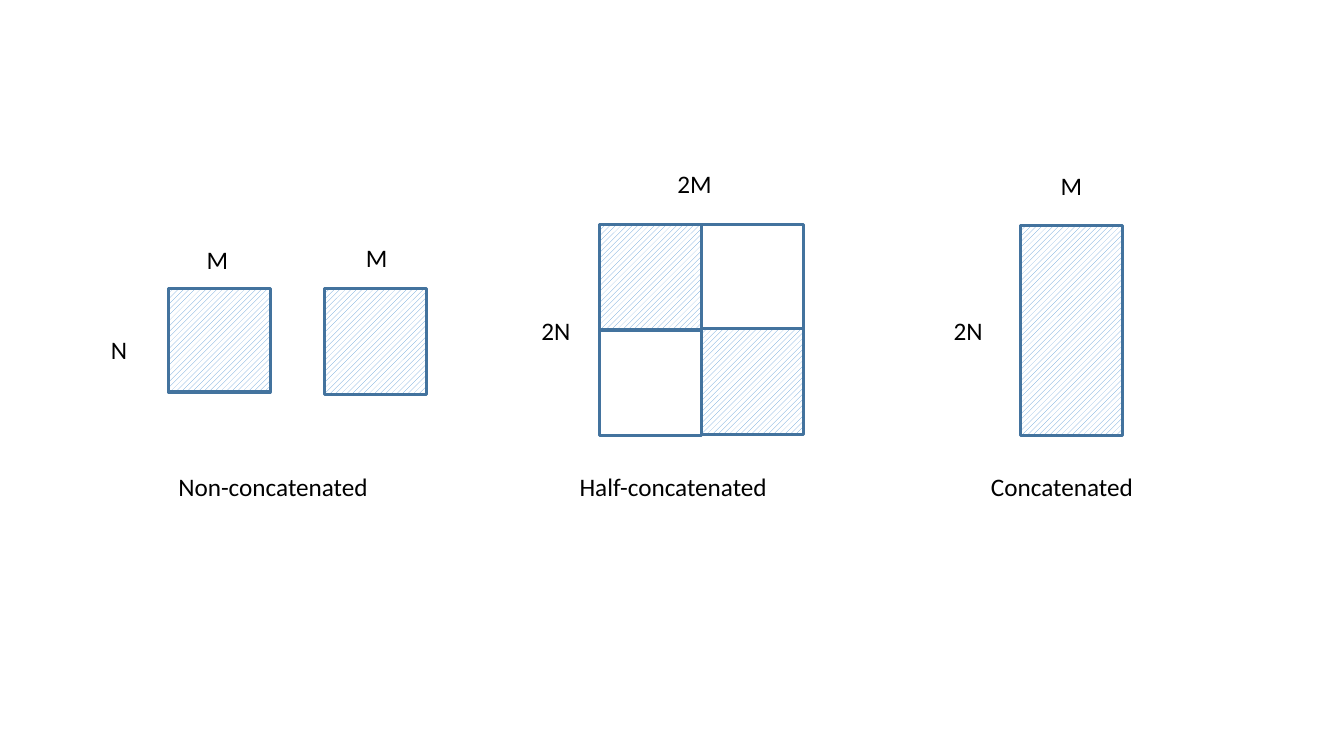
from pptx import Presentation
from pptx.dml.color import RGBColor
from pptx.enum.dml import MSO_PATTERN_TYPE as Pattern
from pptx.enum.shapes import MSO_SHAPE as Shape
from pptx.enum.text import MSO_AUTO_SIZE as AutoSize
from pptx.util import Inches, Pt

BLUE = RGBColor(0x5B, 0x9B, 0xD5)
DARK_BLUE = RGBColor(0x43, 0x73, 0x9E)
WHITE = RGBColor(0xFF, 0xFF, 0xFF)
BLACK = RGBColor(0x00, 0x00, 0x00)
BLOCK_WIDTH = 1.01

presentation = Presentation()
presentation.slide_width = Inches(13.33)
presentation.slide_height = Inches(7.5)
slide = presentation.slides.add_slide(presentation.slide_layouts[6])


def add_block(left, top, height, hatched=True):
    block = slide.shapes.add_shape(
        Shape.RECTANGLE, Inches(left), Inches(top), Inches(BLOCK_WIDTH), Inches(height))
    block.shadow.inherit = False
    block.line.color.rgb = DARK_BLUE
    block.line.width = Pt(2.25)
    if hatched:
        block.fill.patterned()
        block.fill.pattern = Pattern.WIDE_UPWARD_DIAGONAL
        block.fill.fore_color.rgb = BLUE
        block.fill.back_color.rgb = WHITE
    else:
        block.fill.background()


def add_label(text, left, top, width, wrap=False, size=18, font="Calibri", color=BLACK):
    box = slide.shapes.add_textbox(Inches(left), Inches(top), Inches(width), Inches(0.4))
    frame = box.text_frame
    frame.word_wrap = wrap
    frame.auto_size = AutoSize.SHAPE_TO_FIT_TEXT
    run = frame.paragraphs[0].add_run()
    run.text = text
    run.font.size = Pt(size)
    run.font.name = font
    run.font.color.rgb = color


# Non-concatenated: two separate M x N blocks
add_block(1.67, 2.86, 1.03)
add_block(3.22, 2.86, 1.05)
add_label("M", 1.95, 2.37, 0.42)
add_label("M", 3.53, 2.36, 0.42)
add_label("N", 1, 3.27, 0.39)

# Half-concatenated: 2 x 2 grid with a hatched diagonal
for column, tops in enumerate([(2.23, 3.27), (2.23, 3.26)]):
    for row, top in enumerate(tops):
        add_block(5.95 + column * BLOCK_WIDTH, top, 1.05, hatched=row == column)
add_label("2M", 6.62, 1.62, 0.75, wrap=True)
add_label("2N", 5.27, 3.08, 0.55)

# Concatenated: one M x 2N block
add_block(10.12, 2.24, 2.08)
add_label("M", 10.42, 1.64, 0.42)
add_label("2N", 9.36, 3.08, 0.75, wrap=True)

# Captions
for caption, left, width in [
    ("Non-concatenated", 1.67, 2.7),
    ("Half-concatenated", 5.65, 2.7),
    ("Concatenated", 9.73, 2.78),
]:
    add_label(caption, left, 4.63, width, wrap=True)

presentation.save("out.pptx")
